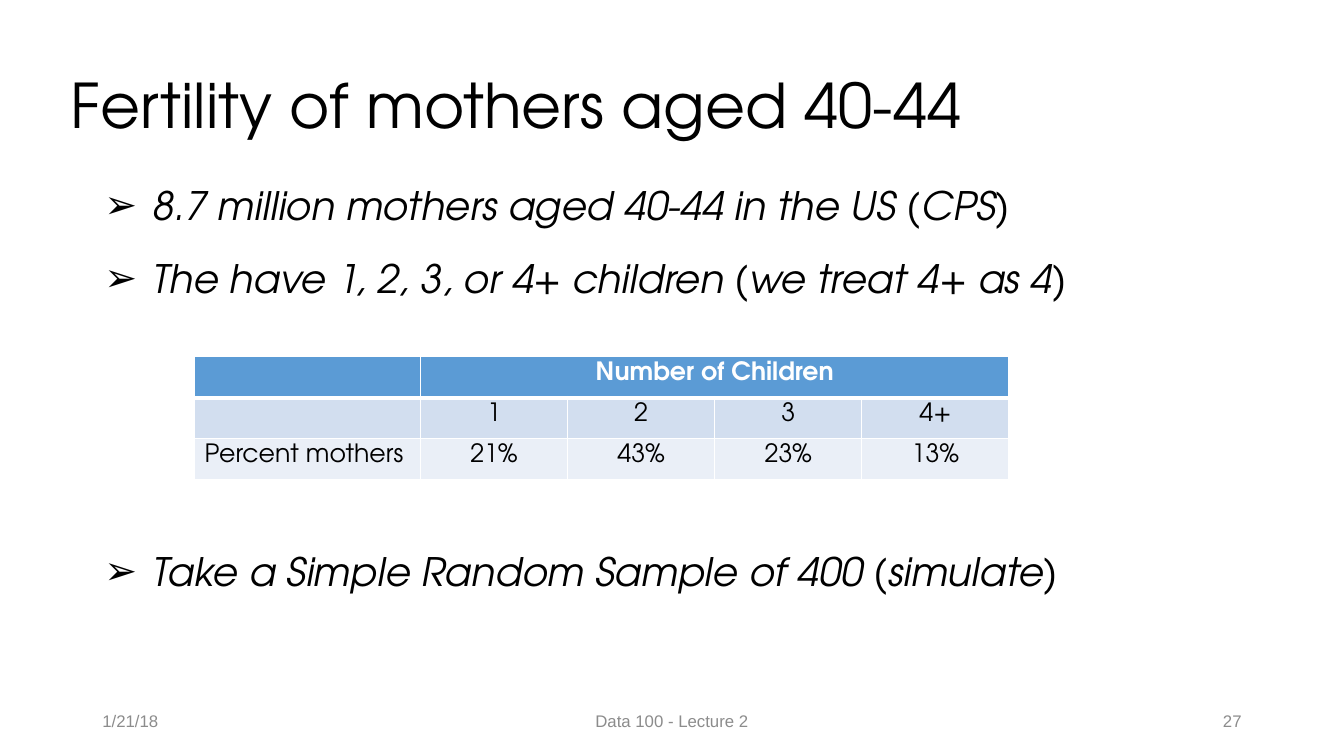
import pptx
import pptx.util
import pptx.dml.color
import pptx.enum.text
import pptx.oxml
import pptx.oxml.ns

Pt = pptx.util.Pt
Color = pptx.dml.color.RGBColor
Align = pptx.enum.text.PP_ALIGN
Anchor = pptx.enum.text.MSO_ANCHOR

BLACK = Color(0, 0, 0)
WHITE = Color(255, 255, 255)
GRAY = Color(0x8C, 0x8C, 0x8C)
BLUE = Color(0x5B, 0x9B, 0xD5)
PALE = Color(0xD2, 0xDE, 0xEF)
LIGHT = Color(0xEA, 0xEF, 0xF7)
FACE = "TeX Gyre Adventor"
NS = pptx.oxml.ns.nsdecls("a")


def place(shape, box):
    """Move a shape to a box given in points."""
    shape.left, shape.top, shape.width, shape.height = map(Pt, box)


def write(para, text, size, color=BLACK, face=FACE, bold=False, slant=False):
    """Add one formatted run to a paragraph."""
    run = para.add_run()
    run.text = text
    font = run.font
    font.size, font.name, font.color.rgb = Pt(size), face, color
    font.bold, font.italic = bold, slant


def add_title(slide, box, text):
    """Fill the title placeholder."""
    place(slide.shapes.title, box)
    frame = slide.shapes.title.text_frame
    frame.auto_size = pptx.enum.text.MSO_AUTO_SIZE.NONE
    frame.vertical_anchor = Anchor.MIDDLE
    para = frame.paragraphs[0]
    para.alignment, para.line_spacing = Align.LEFT, 0.9
    write(para, text, 44)


def add_list(slide, box, items):
    """Fill the body placeholder with (gap, text) bullets."""
    body = slide.placeholders[1]
    place(body, box)
    frame = body.text_frame
    frame.auto_size = pptx.enum.text.MSO_AUTO_SIZE.NONE
    frame.vertical_anchor = Anchor.TOP
    for i, (gap, text) in enumerate(items):
        para = frame.add_paragraph() if i else frame.paragraphs[0]
        para.line_spacing, para.space_before = 0.9, Pt(gap)
        props = para._p.get_or_add_pPr()
        props.set("marL", str(Pt(36)))
        props.set("indent", str(Pt(-34.56)))
        for mark in (f'<a:buClr {NS}><a:srgbClr val="{BLACK}"/></a:buClr>',
                     f'<a:buChar {NS} char="➢"/>'):
            props.append(pptx.oxml.parse_xml(mark))
        write(para, text, 28, slant=True)


def edge(cell, base):
    """Draw white borders around a cell, with the given bottom width."""
    props = cell._tc.get_or_add_tcPr()
    for i, (side, width) in enumerate(zip("LRTB", (1, 1, 1, base))):
        props.insert(i, pptx.oxml.parse_xml(
            f'<a:ln{side} {NS} w="{Pt(width)}"><a:solidFill>'
            f'<a:srgbClr val="{WHITE}"/></a:solidFill></a:ln{side}>'))


def add_grid(slide, box, rows, first):
    """Add the table with a wide first column and a merged header."""
    count = len(rows[0])
    grid = slide.shapes.add_table(len(rows), count, *map(Pt, box)).table
    grid.first_row = grid.horz_banding = False
    for i, col in enumerate(grid.columns):
        col.width = Pt((box[2] - first) / (count - 1) if i else first)
    for r, (row, fill) in enumerate(zip(rows, (BLUE, PALE, LIGHT))):
        grid.rows[r].height = Pt(box[3] / len(rows))
        for c, text in enumerate(row):
            cell = grid.cell(r, c)
            cell.vertical_anchor = Anchor.TOP
            cell.margin_top, cell.margin_bottom = Pt(3.6), 0
            cell.fill.solid()
            cell.fill.fore_color.rgb = fill
            edge(cell, 1 if r else 3)
            para = cell.text_frame.paragraphs[0]
            para.alignment = Align.CENTER if c else Align.LEFT
            para.font.size = Pt(18)
            if text:
                write(para, text, 18, BLACK if r else WHITE, bold=not r)
    grid.cell(0, 1).merge(grid.cell(0, count - 1))


def add_foot(slide, box):
    """Add date, name and number along the bottom box."""
    left, top, width, height = box
    side, mid = 216, 324
    parts = (("1/21/18", 0, side, Align.LEFT),
             ("Data 100 - Lecture 2", (width - mid) / 2, mid, Align.CENTER),
             ("27", width - side, side, Align.RIGHT))
    for text, shift, span, align in parts:
        area = map(Pt, (left + shift, top, span, height))
        frame = slide.shapes.add_textbox(*area).text_frame
        frame.word_wrap = True
        frame.vertical_anchor = Anchor.MIDDLE
        para = frame.paragraphs[0]
        para.alignment = align
        write(para, text, 12, GRAY, "Arial")


def main():
    """Build and save the slide."""
    deck = pptx.Presentation()
    deck.slide_width, deck.slide_height = Pt(960), Pt(540)
    slide = deck.slides.add_slide(deck.slide_layouts[1])
    add_title(slide, (43.2, 25.2, 850.3, 104.4),
              "Fertility of mothers aged 40-44")
    add_list(slide, (66, 129.6, 828, 361.4), (
        (0, "8.7 million mothers aged 40-44 in the US (CPS)"),
        (22, "The have 1, 2, 3, or 4+ children (we treat 4+ as 4)"),
        (179, "Take a Simple Random Sample of 400 (simulate)")))
    add_grid(slide, (139, 254.9, 581.8, 87.6), (
        ("", "Number of Children", "", "", ""),
        ("", "1", "2", "3", "4+"),
        ("Percent mothers", "21%", "43%", "23%", "13%")), 161.3)
    add_foot(slide, (66, 500.5, 828, 28.8))
    deck.save("out.pptx")


if __name__ == "__main__":
    main()
